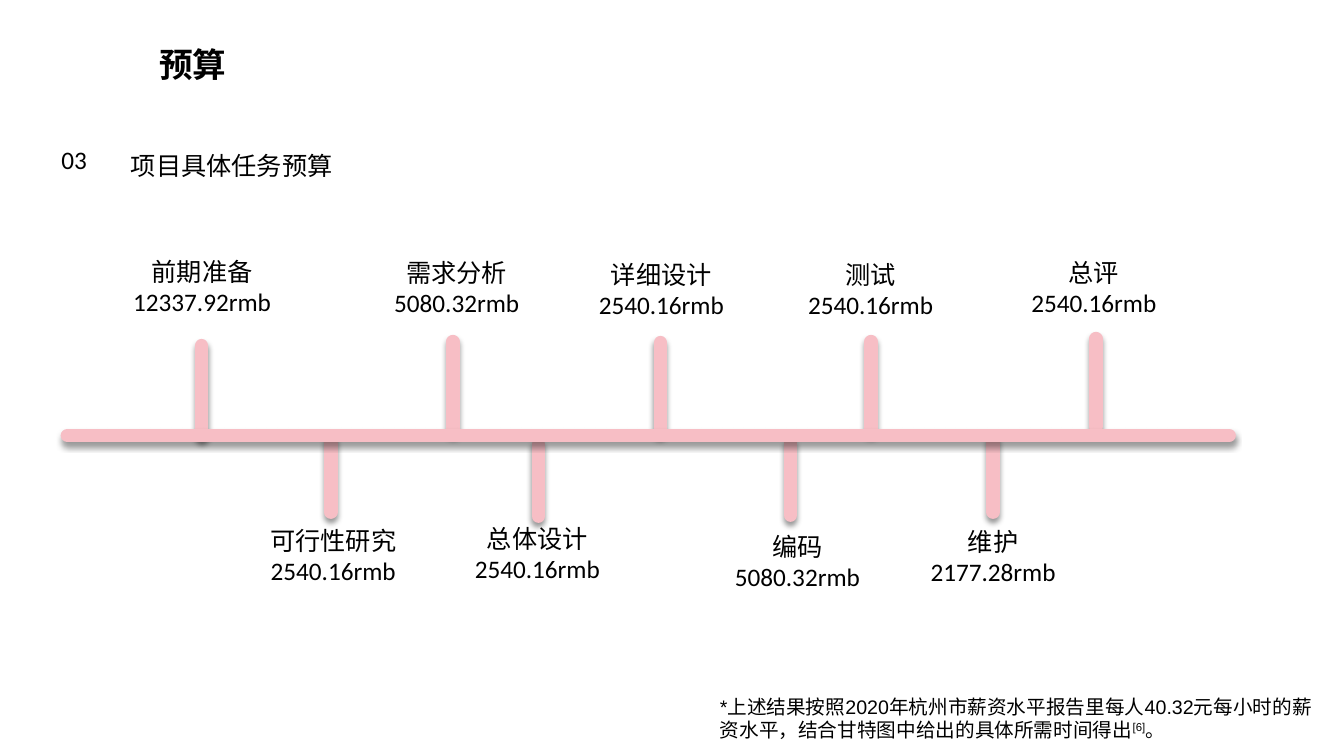
"""Build the project budget timeline slide."""
from dataclasses import dataclass

from lxml.etree import SubElement
from pptx import Presentation
from pptx.dml.color import RGBColor
from pptx.enum.shapes import MSO_CONNECTOR as Connector
from pptx.enum.text import MSO_AUTO_SIZE as AutoSize, PP_ALIGN as Align
from pptx.oxml.ns import qn
from pptx.slide import Slide
from pptx.util import Inches, Pt

PINK = RGBColor(0xF7, 0xBE, 0xC5)
BLACK = RGBColor(0x00, 0x00, 0x00)
AXIS_Y = 4.32
LABEL_HEIGHT = 0.71
STEM_ABOVE = 0.87
STEM_BELOW = 0.71


@dataclass(frozen=True)
class TextStyle:
    size: int = 18
    font: str = "Calibri"
    bold: bool = False
    align: Align = Align.LEFT
    spacing: float = 1.0


@dataclass(frozen=True)
class Run:
    text: str
    baseline: int = 0


@dataclass(frozen=True)
class Caption:
    box: tuple[float, float, float, float]
    paragraphs: list[list[Run]]
    style: TextStyle


@dataclass(frozen=True)
class Task:
    name: str
    cost: str
    left: float
    top: float
    width: float
    stem_x: float
    stem_top: float

    @property
    def stem_length(self) -> float:
        return STEM_ABOVE if self.top < AXIS_Y else STEM_BELOW


LABEL = TextStyle(align=Align.CENTER)

CAPTIONS = [
    Caption((1.48, 0.39, 4.74, 0.5), [[Run("预算")]], TextStyle(24, bold=True)),
    Caption((1.2, 1.29, 3.31, 0.48), [[Run("项目具体任务预算")]],
            TextStyle(font="Arial", spacing=1.5)),
    Caption((0.45, 1.38, 0.57, 0.4), [[Run("03")]], LABEL),
    Caption((7.04, 6.84, 6.19, 0.57),
            [[Run("*上述结果按照2020年杭州市薪资水平报告里每人40.32元每小时的"
                  "薪资水平，结合甘特图中给出的具体所需时间得出"),
              Run("[6]", 30000), Run("。")]],
            TextStyle(14, "Arial")),
]

TASKS = [
    Task("前期准备", "12337.92rmb", 1.13, 2.49, 1.75, 2.0, 3.43),
    Task("可行性研究", "2540.16rmb", 2.53, 5.16, 1.55, 3.28, 4.37),
    Task("需求分析", "5080.32rmb", 3.72, 2.5, 1.62, 4.49, 3.39),
    Task("总体设计", "2540.16rmb", 4.6, 5.14, 1.46, 5.34, 4.41),
    Task("详细设计", "2540.16rmb", 5.83, 2.52, 1.46, 6.55, 3.4),
    Task("编码", "5080.32rmb", 7.18, 5.22, 1.46, 7.84, 4.4),
    Task("测试", "2540.16rmb", 7.69, 2.52, 1.89, 8.64, 3.39),
    Task("维护", "2177.28rmb", 8.96, 5.17, 1.78, 9.85, 4.37),
    Task("总评", "2540.16rmb", 10.12, 2.5, 1.46, 10.87, 3.36),
]


def draw_caption(slide: Slide, caption: Caption) -> None:
    """Add a text box with one style for all its runs."""
    style = caption.style
    frame = slide.shapes.add_textbox(*map(Inches, caption.box)).text_frame
    frame.word_wrap = True
    frame.auto_size = AutoSize.SHAPE_TO_FIT_TEXT
    for index, runs in enumerate(caption.paragraphs):
        paragraph = frame.add_paragraph() if index else frame.paragraphs[0]
        paragraph.alignment = style.align
        paragraph.line_spacing = style.spacing
        for part in runs:
            run = paragraph.add_run()
            run.text = part.text
            run.font.size = Pt(style.size)
            run.font.name = style.font
            run.font.bold = style.bold
            run.font.color.rgb = BLACK
            if part.baseline:
                run._r.get_or_add_rPr().set("baseline", str(part.baseline))


def draw_bar(slide: Slide, x1: float, y1: float, x2: float, y2: float) -> None:
    """Add a thick round-capped line with a soft shadow below it."""
    bar = slide.shapes.add_connector(
        Connector.STRAIGHT, Inches(x1), Inches(y1), Inches(x2), Inches(y2))
    bar.line.color.rgb = PINK
    bar.line.width = Pt(9.75)
    bar.line._get_or_add_ln().set("cap", "rnd")
    effects = SubElement(bar._element.spPr, qn("a:effectLst"))
    shadow = SubElement(effects, qn("a:outerShdw"), blurRad=str(Pt(4)),
                        dist=str(Pt(3)), dir="5400000", algn="t", rotWithShape="0")
    tint = SubElement(shadow, qn("a:srgbClr"), val=str(BLACK))
    SubElement(tint, qn("a:alpha"), val="40000")


def draw_task(slide: Slide, task: Task) -> None:
    """Add a task's stem and its label with name and cost."""
    draw_bar(slide, task.stem_x, task.stem_top,
             task.stem_x, task.stem_top + task.stem_length)
    draw_caption(slide, Caption((task.left, task.top, task.width, LABEL_HEIGHT),
                                [[Run(task.name)], [Run(task.cost)]], LABEL))


def main() -> None:
    """Draw the captions, the tasks and the time axis, then save."""
    deck = Presentation()
    deck.slide_width, deck.slide_height = Inches(13.33), Inches(7.5)
    slide = deck.slides.add_slide(deck.slide_layouts[6])
    for caption in CAPTIONS:
        draw_caption(slide, caption)
    for task in TASKS:
        draw_task(slide, task)
    draw_bar(slide, 0.67, AXIS_Y, 12.19, AXIS_Y)
    deck.save("out.pptx")


if __name__ == "__main__":
    main()
